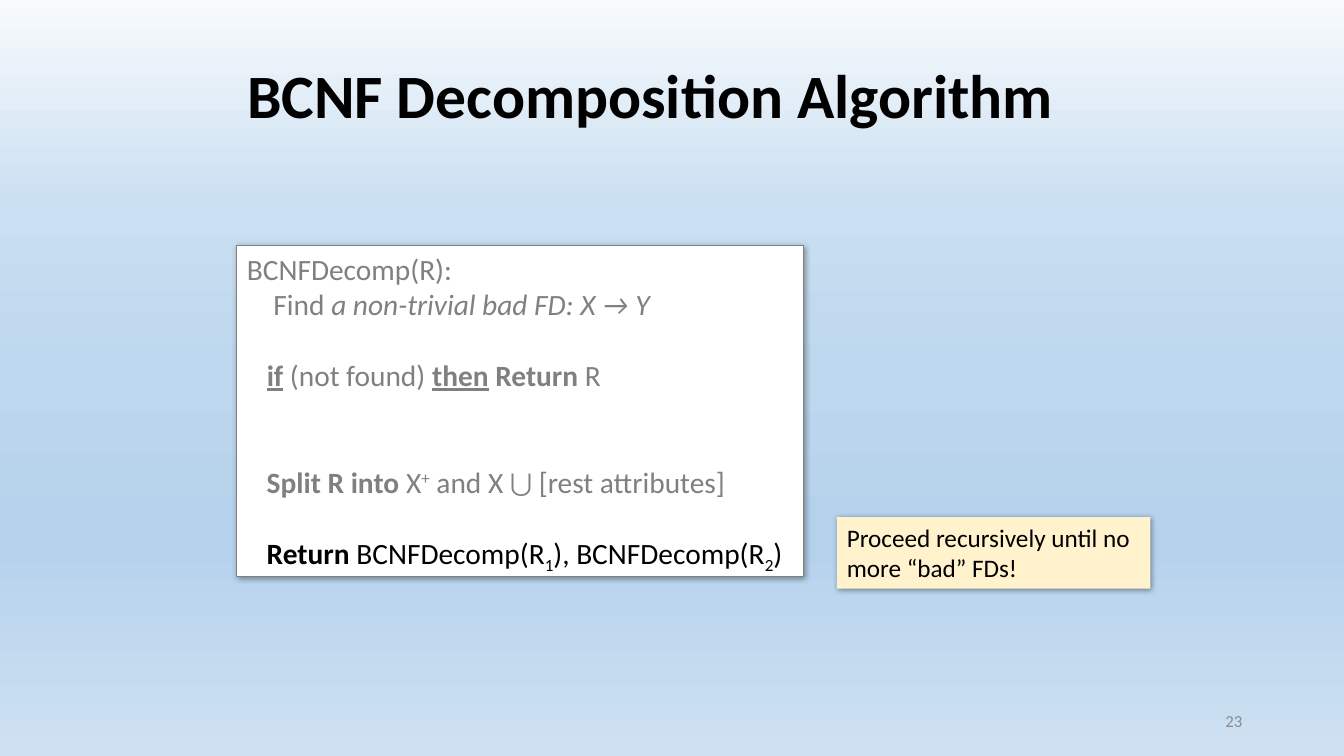
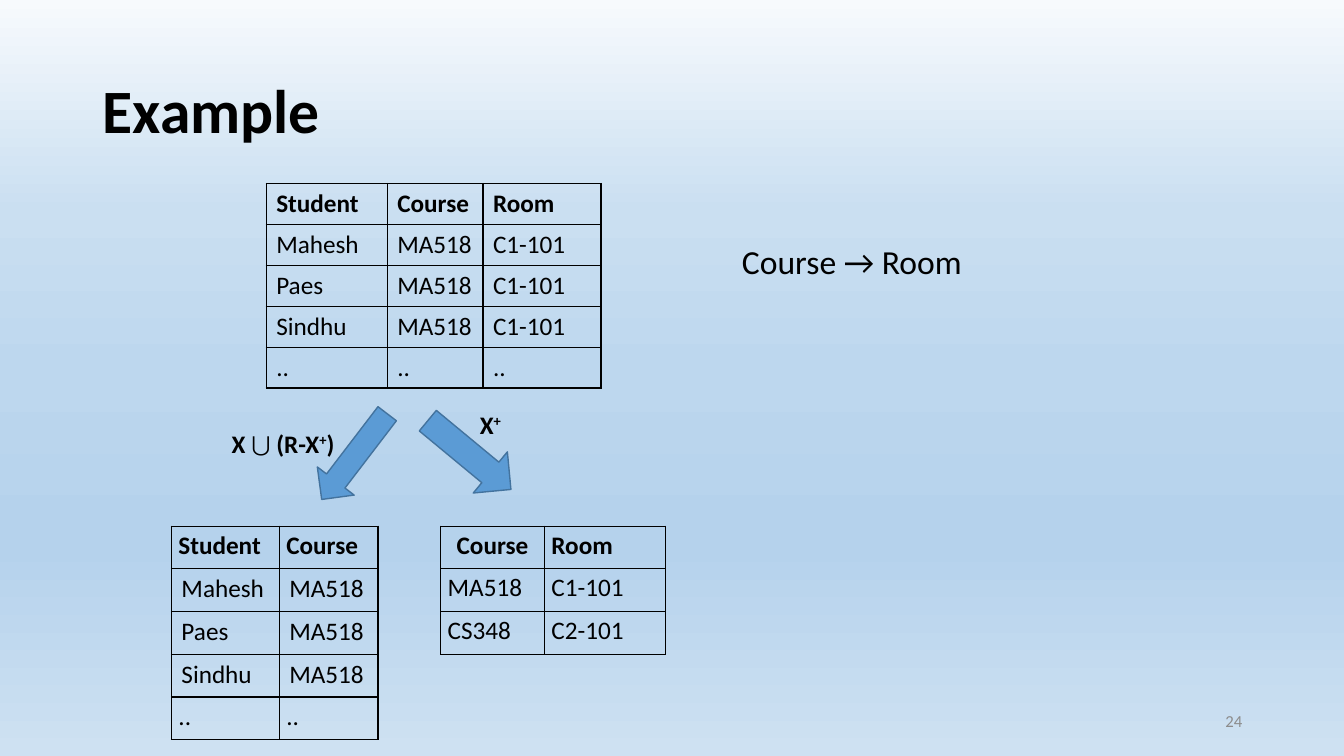
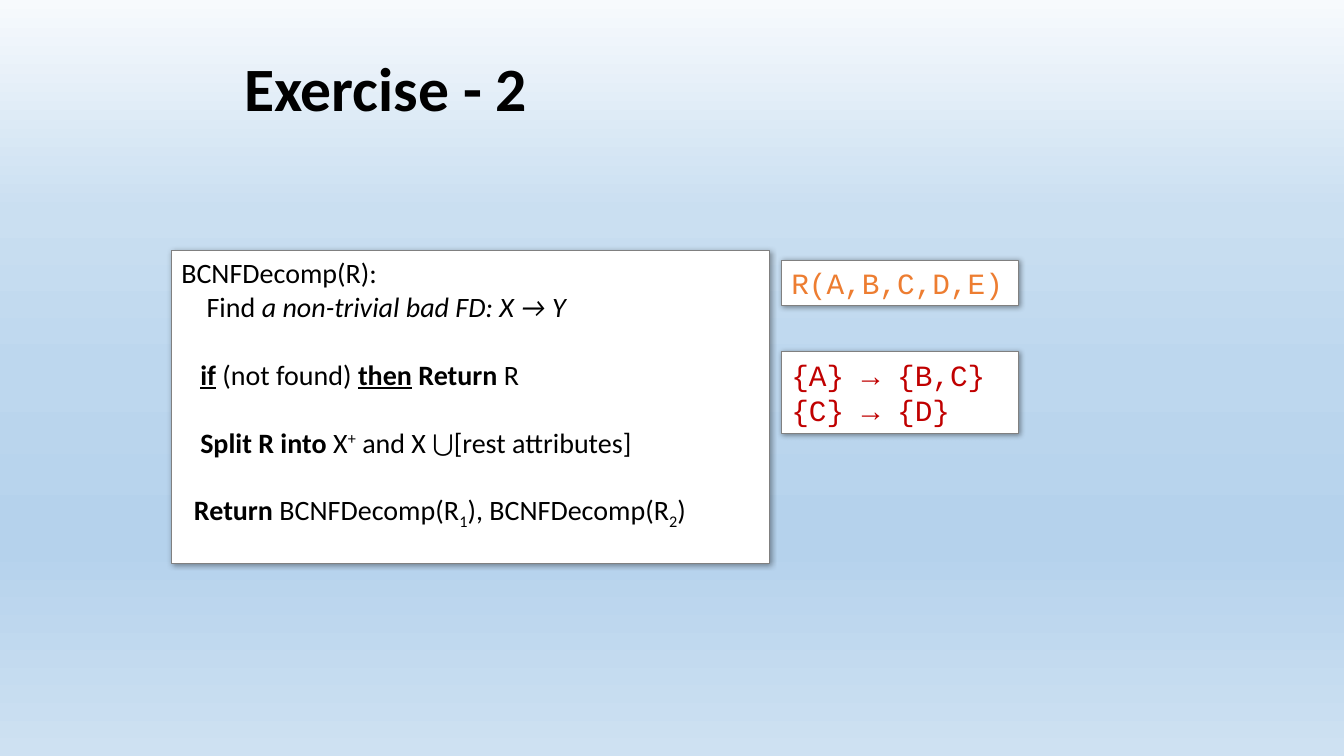
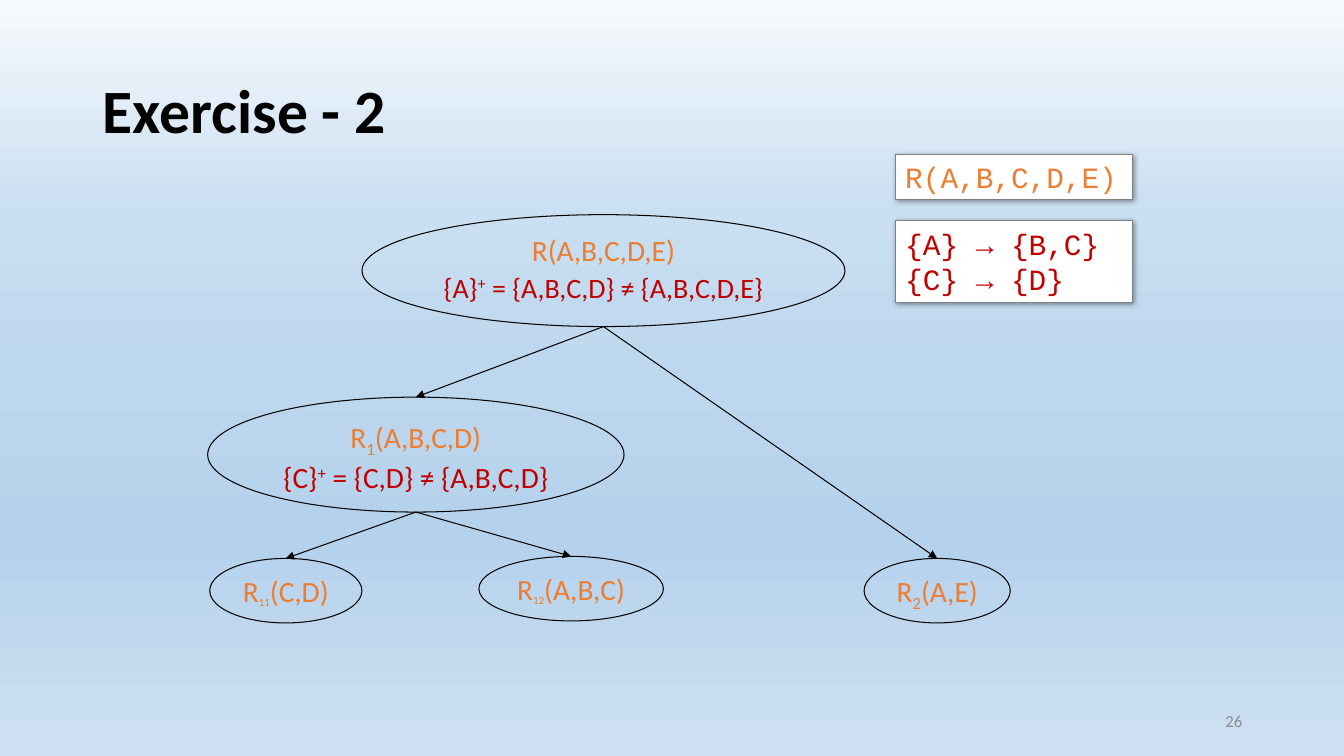
import pptx
import pptx.dml.color
import pptx.enum.dml
import pptx.enum.shapes
import pptx.enum.text
import pptx.oxml
import pptx.oxml.ns
import pptx.util

Inches = pptx.util.Inches
Pt = pptx.util.Pt
RGBColor = pptx.dml.color.RGBColor
qn = pptx.oxml.ns.qn
Shape = pptx.enum.shapes.MSO_SHAPE
Align = pptx.enum.text.PP_ALIGN
Anchor = pptx.enum.text.MSO_ANCHOR

BLACK = RGBColor(0x00, 0x00, 0x00)
WHITE = RGBColor(0xFF, 0xFF, 0xFF)
GRAY = RGBColor(0x80, 0x80, 0x80)
NUMBER_GRAY = RGBColor(0x8C, 0x8C, 0x8C)
CREAM = RGBColor(0xFF, 0xF2, 0xCC)
ORANGE = RGBColor(0xED, 0x7D, 0x31)
RED = RGBColor(0xC0, 0x00, 0x00)
BLUE = RGBColor(0x5B, 0x9B, 0xD5)
DARK_BLUE = RGBColor(0x43, 0x73, 0x9E)
BACKGROUND_STOPS = ((0, "F7FAFD"), (28, "CADFF1"), (49, "BDD7EE"),
                    (71, "B5D2EC"), (72, "B5D2EC"), (100, "CEE1F2"))

BODY_FONT = "Calibri"
CODE_FONT = "Courier New"
SYMBOL_FONT = "Cambria"
NAMESPACE = 'xmlns:a="http://schemas.openxmlformats.org/drawingml/2006/main"'

BOLD = {"bold": True}
ITALIC = {"italic": True}
KEYWORD = {"bold": True, "underline": True}
SYMBOL = {"name": SYMBOL_FONT}
SUPER = {"baseline": 30}
SUB = {"baseline": -25}
SMALL_SUB = {"baseline": -25, "size": Pt(13.5)}


def write(frame, lines, align=Align.LEFT, gaps=(), spacing=None, **base):
    """Fill a frame; a line is a text or a list of (text, format) spans."""
    for index, line in enumerate(lines):
        para = frame.add_paragraph() if index else frame.paragraphs[0]
        para.alignment = align
        para.line_spacing = spacing
        if index and gaps:
            para.space_before = Pt(gaps[index - 1])
        for text, changes in [(line, {})] if isinstance(line, str) else line:
            span = para.add_run()
            span.text = text
            look = {"name": BODY_FONT, "color": BLACK, **base, **changes}
            span.font.color.rgb = look.pop("color")
            baseline = look.pop("baseline", 0)
            if baseline:
                span.font._element.set("baseline", str(baseline * 1000))
            for key, value in look.items():
                setattr(span.font, key, value)


def draw(page, at, kind=None, fill=None, line=None, width=0.75, shadow=False):
    """Add a preset shape, or a text box when no kind is given."""
    place = [Inches(length) for length in at]
    if kind is None:
        box = page.shapes.add_textbox(*place)
    else:
        box = page.shapes.add_shape(kind, *place)
        box.shadow.inherit = False
        if fill is None:
            box.fill.background()
        else:
            box.fill.solid()
            box.fill.fore_color.rgb = fill
        if line is None:
            box.line.fill.background()
        else:
            box.line.color.rgb = line
            box.line.width = Pt(width)
    if shadow:
        box.element.spPr.find(qn("a:effectLst")).append(pptx.oxml.parse_xml(
            f'<a:outerShdw {NAMESPACE} blurRad="{Pt(4)}" dist="{Pt(1)}" '
            'dir="2700000" algn="tl" rotWithShape="0"><a:srgbClr val="000000">'
            '<a:alpha val="40000"/></a:srgbClr></a:outerShdw>'))
    box.text_frame.word_wrap = True
    box.text_frame.vertical_anchor = Anchor.TOP
    return box


deck = pptx.Presentation()
deck.slide_width = Inches(13.33)
deck.slide_height = Inches(7.5)

# Shared background
master = deck.slide_master
master.background.fill.gradient()
master.background.fill.gradient_angle = 270
stop_list = master.element.find(".//" + qn("a:gsLst"))
for stop in list(stop_list):
    stop_list.remove(stop)
for position, color in BACKGROUND_STOPS:
    stop_list.append(pptx.oxml.parse_xml(
        f'<a:gs {NAMESPACE} pos="{position * 1000}"><a:srgbClr val="{color}"/></a:gs>'))

# Pages with titles and numbers
pages = []
for title_text, title_at, margins, number in (
        ("BCNF Decomposition Algorithm", (2.35, 0.25, 8.62, 1.45), (0.1, 0.05), "23"),
        ("Example", (0.92, 0.4, 11.5, 1.45), (0.1, 0.05), "24"),
        ("Exercise - 2", (2.35, 0.36, 8.62, 1.09), (0.07, 0.04), None),
        ("Exercise - 2", (0.92, 0.4, 11.5, 1.45), (0.1, 0.05), "26")):
    page = deck.slides.add_slide(deck.slide_layouts[5])
    pages.append(page)
    title = page.shapes.title
    title.left, title.top, title.width, title.height = map(Inches, title_at)
    frame = title.text_frame
    frame.margin_left = frame.margin_right = Inches(margins[0])
    frame.margin_top = frame.margin_bottom = Inches(margins[1])
    frame.auto_size = pptx.enum.text.MSO_AUTO_SIZE.NONE
    frame.vertical_anchor = Anchor.MIDDLE
    write(frame, [title_text], spacing=0.9, size=Pt(44), bold=True)
    if number:
        number_box = draw(page, (9.42, 6.95, 3, 0.4))
        number_box.text_frame.vertical_anchor = Anchor.MIDDLE
        write(number_box.text_frame, [number], Align.RIGHT, size=Pt(12), color=NUMBER_GRAY)
algorithm_page, example_page, exercise_page, tree_page = pages

# Decomposition algorithm
for page, at, size, ink, gaps, union, return_indent in (
        (algorithm_page, (2.35, 2.44, 5.62, 3.28), 21, GRAY, (0, 25.5, 51, 25.5), " ⋃ ", "   "),
        (exercise_page, (1.7, 2.49, 5.93, 3.1), 20, BLACK, (0, 24.4, 24.4, 24.4), " ⋃", "  ")):
    code = draw(page, at, Shape.RECTANGLE, WHITE, GRAY, shadow=True)
    final = {"color": BLACK}
    write(code.text_frame, [
        "BCNFDecomp(R):",
        [("    Find ", {}), ("a non-trivial bad FD: X → Y", ITALIC)],
        [("   ", {}), ("if", KEYWORD), (" (not found) ", {}), ("then", KEYWORD),
         (" ", {}), ("Return", BOLD), (" R", {})],
        [("   Split R into ", BOLD), ("X", {}), ("+", SUPER), (" and X", {}),
         (union, SYMBOL), ("[rest attributes]", {})],
        [(return_indent + "Return ", final | BOLD), ("BCNFDecomp(R", final),
         ("1", final | SUB), ("), BCNFDecomp(R", final), ("2", final | SUB), (")", final)],
    ], gaps=gaps, size=Pt(size), color=ink)

hint = draw(algorithm_page, (8.3, 5.13, 3.11, 0.71), Shape.RECTANGLE, CREAM, shadow=True)
write(hint.text_frame, ["Proceed recursively until no more “bad” FDs!"], size=Pt(18))

# Example tables; rows listed as tight have narrower margins
for at, widths, tight_rows, centered, rows in (
        ((2.64, 1.82, 3.32, 2.03), (1.2, 0.95, 1.17), (), (),
         (("Student", "Course", "Room"), ("Mahesh", "MA518", "C1-101"),
          ("Paes", "MA518", "C1-101"), ("Sindhu", "MA518", "C1-101"), ("..", "..", ".."))),
        ((1.7, 5.22, 2.06, 2.12), (1.07, 0.98), (0, 4), (),
         (("Student", "Course"), ("Mahesh", "MA518"), ("Paes", "MA518"),
          ("Sindhu", "MA518"), ("..", ".."))),
        ((4.37, 5.22, 2.23, 1.27), (1.03, 1.2), (0, 1, 2), ((0, 0),),
         (("Course", "Room"), ("MA518", "C1-101"), ("CS348", "C2-101")))):
    table = example_page.shapes.add_table(
        len(rows), len(widths), *[Inches(length) for length in at]).table
    table.first_row = table.horz_banding = False
    for column, width in zip(table.columns, widths):
        column.width = Inches(width)
    for row_index, row in enumerate(rows):
        table.rows[row_index].height = Inches(at[3] / len(rows))
        for column_index, text in enumerate(row):
            cell = table.cell(row_index, column_index)
            if row_index in tight_rows:
                cell.margin_left = cell.margin_right = Inches(0.07)
                cell.margin_top = cell.margin_bottom = Inches(0.04)
            properties = cell._tc.get_or_add_tcPr()
            for side in "LRTB":
                properties.append(pptx.oxml.parse_xml(
                    f'<a:ln{side} {NAMESPACE} w="{Pt(1)}"><a:solidFill>'
                    f'<a:srgbClr val="{BLACK}"/></a:solidFill></a:ln{side}>'))
            cell.fill.background()
            align = Align.CENTER if (row_index, column_index) in centered else Align.LEFT
            write(cell.text_frame, [text], align, size=Pt(18), bold=row_index == 0)

for at, angle in (((2.98, 4.3, 1.07, 0.46), 127.4), ((4.12, 4.25, 1.07, 0.53), 39.6)):
    arrow = draw(example_page, at, Shape.RIGHT_ARROW, BLUE, DARK_BLUE, 1)
    arrow.rotation = angle

for at, line, look in (
        ((7.26, 2.34, 2.42, 0.5), "Course → Room", {"size": Pt(24)}),
        ((4.66, 4.01, 0.42, 0.4), [("X", {}), ("+", SUPER)], {"size": Pt(18), "bold": True}),
        ((2.2, 4.2, 1.25, 0.4),
         [("X ", {}), ("⋃", SYMBOL | {"bold": False}), (" (R-X", {}), ("+", SUPER), (")", {})],
         {"size": Pt(18), "bold": True})):
    label = draw(example_page, at)
    label.text_frame.word_wrap = False
    write(label.text_frame, [line], **look)

# Relation and its dependencies
for page, left, relation_top, dependency_top in (
        (exercise_page, 7.75, 2.58, 3.49), (tree_page, 8.88, 1.53, 2.19)):
    for top, height, lines, ink in (
            (relation_top, 0.45, ["R(A,B,C,D,E)"], ORANGE),
            (dependency_top, 0.81, ["{A} → {B,C}", "{C} → {D}"], RED)):
        card = draw(page, (left, top, 2.35, height), Shape.RECTANGLE, WHITE, GRAY, shadow=True)
        write(card.text_frame, lines, name=CODE_FONT, size=Pt(21), color=ink)

# Decomposition tree
closure = {"color": RED}
small_closure = {"color": RED, "size": Pt(20)}
nodes = {}
for name, at, spacing, gaps, lines in (
        ("R", (3.59, 2.13, 4.79, 1.11), 0.9, (4.4,),
         ["R(A,B,C,D,E)",
          [("{A}", small_closure), ("+", small_closure | SUPER),
           (" = {A,B,C,D} ≠ {A,B,C,D,E}", small_closure)]]),
        ("R1", (2.06, 3.94, 4.13, 1.14), None, (0,),
         [[("R", {}), ("1", SUB), ("(A,B,C,D)", {})],
          [("{C}", closure), ("+", closure | SUPER), (" = {C,D} ≠ {A,B,C,D}", closure)]]),
        ("R2", (8.57, 5.54, 1.45, 0.64), None, (),
         [[("R", {}), ("2", SUB), ("(A,E)", {})]]),
        ("R11", (2.08, 5.54, 1.51, 0.64), None, (),
         [[("R", {}), ("11", SMALL_SUB), ("(C,D)", {})]]),
        ("R12", (4.75, 5.52, 1.83, 0.64), None, (),
         [[("R", {}), ("12", SMALL_SUB), ("(A,B,C)", {})]])):
    node = nodes[name] = draw(tree_page, at, Shape.OVAL, line=BLACK)
    node.text_frame.word_wrap = False
    write(node.text_frame, lines, Align.CENTER, gaps, spacing, size=Pt(21), color=ORANGE)

for parent_name, child_name in (("R", "R1"), ("R", "R2"), ("R1", "R11"), ("R1", "R12")):
    parent, child = nodes[parent_name], nodes[child_name]
    branch = tree_page.shapes.add_connector(
        pptx.enum.shapes.MSO_CONNECTOR.STRAIGHT,
        parent.left + parent.width // 2, parent.top + parent.height,
        child.left + child.width // 2, child.top)
    branch.end_connect(child, 0)
    branch.line.color.rgb = BLACK
    branch.line.width = Pt(0.75)
    properties = branch.element.spPr
    properties.find(qn("a:ln")).append(
        pptx.oxml.parse_xml(f'<a:tailEnd {NAMESPACE} type="triangle"/>'))
    properties.append(pptx.oxml.parse_xml(f'<a:effectLst {NAMESPACE}/>'))

deck.save("out.pptx")
